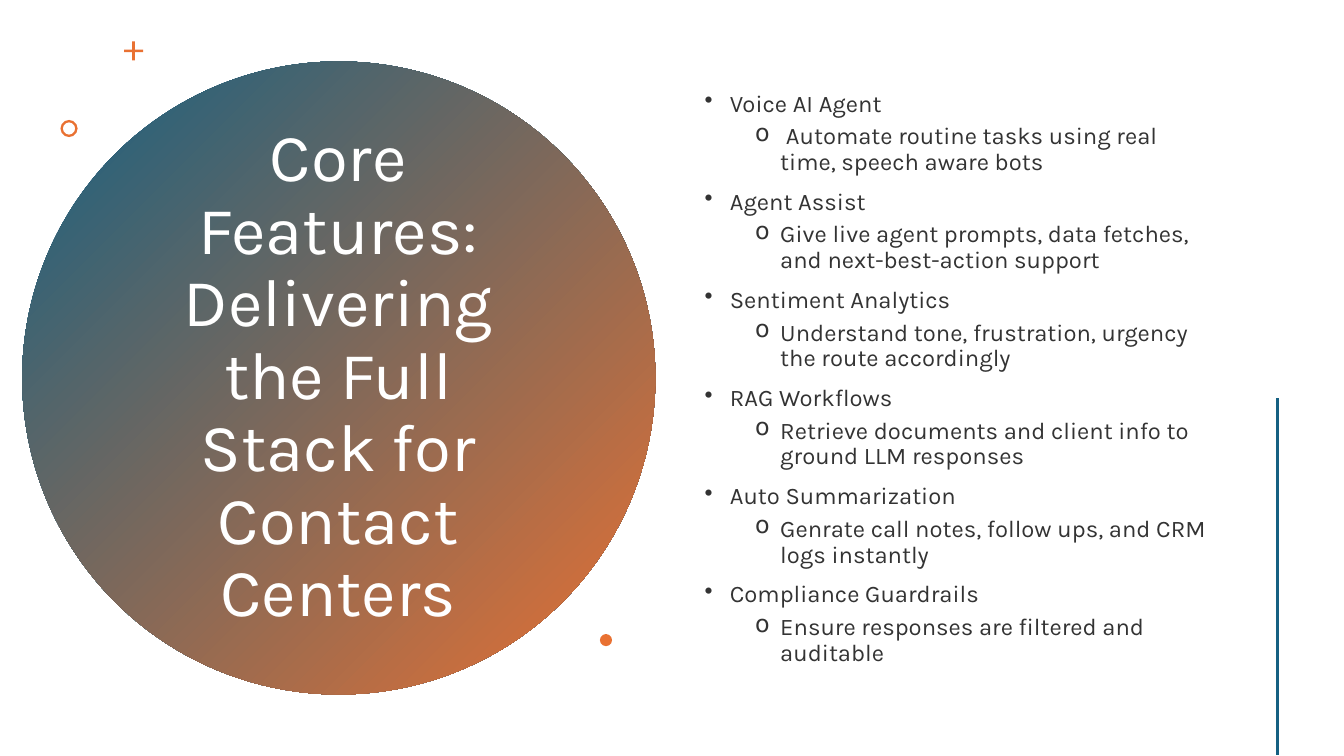
"""Build the core features slide for a contact center deck."""
import pptx
import pptx.dml.color
import pptx.enum.shapes
import pptx.enum.text
import pptx.oxml.ns
import pptx.util
from lxml import etree
from pptx.util import Inches

FONT = "Karla"
COLORS = {"blue": "156082", "orange": "E97132", "white": "FFFFFF", "text": "333333"}
SHAPES = pptx.enum.shapes.MSO_SHAPE
TITLE = "Core Features: Delivering the Full Stack for Contact Centers"
FEATURES = [
    ("Voice AI Agent", " Automate routine tasks using real time, speech aware bots"),
    ("Agent Assist", "Give live agent prompts, data fetches, and next-best-action support"),
    ("Sentiment Analytics", "Understand tone, frustration, urgency the route accordingly"),
    ("RAG Workflows", "Retrieve documents and client info to ground LLM responses"),
    ("Auto Summarization", "Genrate call notes, follow ups, and CRM logs instantly"),
    ("Compliance Guardrails", "Ensure responses are filtered and auditable"),
]


def color(name):
    return pptx.dml.color.RGBColor.from_string(COLORS[name])


def add_shape(slide, kind, left, top, size, adjustment=None):
    shape = slide.shapes.add_shape(
        kind, Inches(left), Inches(top), Inches(size), Inches(size))
    shape.shadow.inherit = False
    shape.line.fill.background()
    shape.fill.solid()
    shape.fill.fore_color.rgb = color("orange")
    if adjustment is not None:
        shape.adjustments[0] = adjustment
    return shape


def add_gradient_circle(slide, left, top, size):
    circle = add_shape(slide, SHAPES.OVAL, left, top, size)
    circle.fill.gradient()
    circle.fill.gradient_angle = 315
    for stop, name, position in zip(circle.fill.gradient_stops, ("blue", "orange"), (0, 1)):
        stop.color.rgb = color(name)
        stop.position = position


def add_text_frame(slide, left, top, width, height):
    box = slide.shapes.add_textbox(
        Inches(left), Inches(top), Inches(width), Inches(height))
    frame = box.text_frame
    frame.word_wrap = True
    frame.vertical_anchor = pptx.enum.text.MSO_ANCHOR.MIDDLE
    return frame


def add_run(paragraph, text, size, color_name):
    paragraph.line_spacing = 0.9
    run = paragraph.add_run()
    run.text = text
    run.font.name = FONT
    run.font.size = pptx.util.Pt(size)
    run.font.color.rgb = color(color_name)


def set_bullet(paragraph, character, indent):
    properties = paragraph._p.get_or_add_pPr()
    properties.set("marL", str(Inches(indent)))
    properties.set("indent", str(Inches(-0.25)))
    bullet = etree.SubElement(properties, pptx.oxml.ns.qn("a:buChar"))
    bullet.set("char", character)


def add_title(slide):
    paragraph = add_text_frame(slide, 1.36, 1.41, 3.99, 4.67).paragraphs[0]
    paragraph.alignment = pptx.enum.text.PP_ALIGN.CENTER
    add_run(paragraph, TITLE, 48, "white")


def add_features(slide):
    frame = add_text_frame(slide, 6.89, 0.57, 5.22, 6.38)
    paragraph = frame.paragraphs[0]
    levels = [("•", 0.25, 10), ("o", 0.75, 5)]
    for feature in FEATURES:
        for level, (text, (bullet, indent, space)) in enumerate(zip(feature, levels)):
            if paragraph.runs:
                paragraph = frame.add_paragraph()
            paragraph.level = level
            paragraph.space_before = pptx.util.Pt(space)
            add_run(paragraph, text, 17, "text")
            set_bullet(paragraph, bullet, indent)


def add_vertical_line(slide, x, top, bottom):
    line = slide.shapes.add_connector(
        pptx.enum.shapes.MSO_CONNECTOR.STRAIGHT,
        Inches(x), Inches(top), Inches(x), Inches(bottom))
    line.line.color.rgb = color("blue")
    line.line.width = pptx.util.Pt(2)
    etree.SubElement(line._element.spPr, pptx.oxml.ns.qn("a:effectLst"))


def main():
    presentation = pptx.Presentation()
    presentation.slide_width = Inches(13.33)
    presentation.slide_height = Inches(7.5)
    slide = presentation.slides.add_slide(presentation.slide_layouts[6])
    add_gradient_circle(slide, 0.22, 0.61, 6.28)
    add_title(slide)
    add_shape(slide, SHAPES.CROSS, 1.23, 0.41, 0.19, 0.43)
    add_shape(slide, SHAPES.DONUT, 0.6, 1.19, 0.17, 0.14)
    add_features(slide)
    add_shape(slide, SHAPES.OVAL, 5.95, 6.29, 0.12)
    add_vertical_line(slide, 12.67, 3.95, 7.49)
    presentation.save("out.pptx")


if __name__ == "__main__":
    main()
